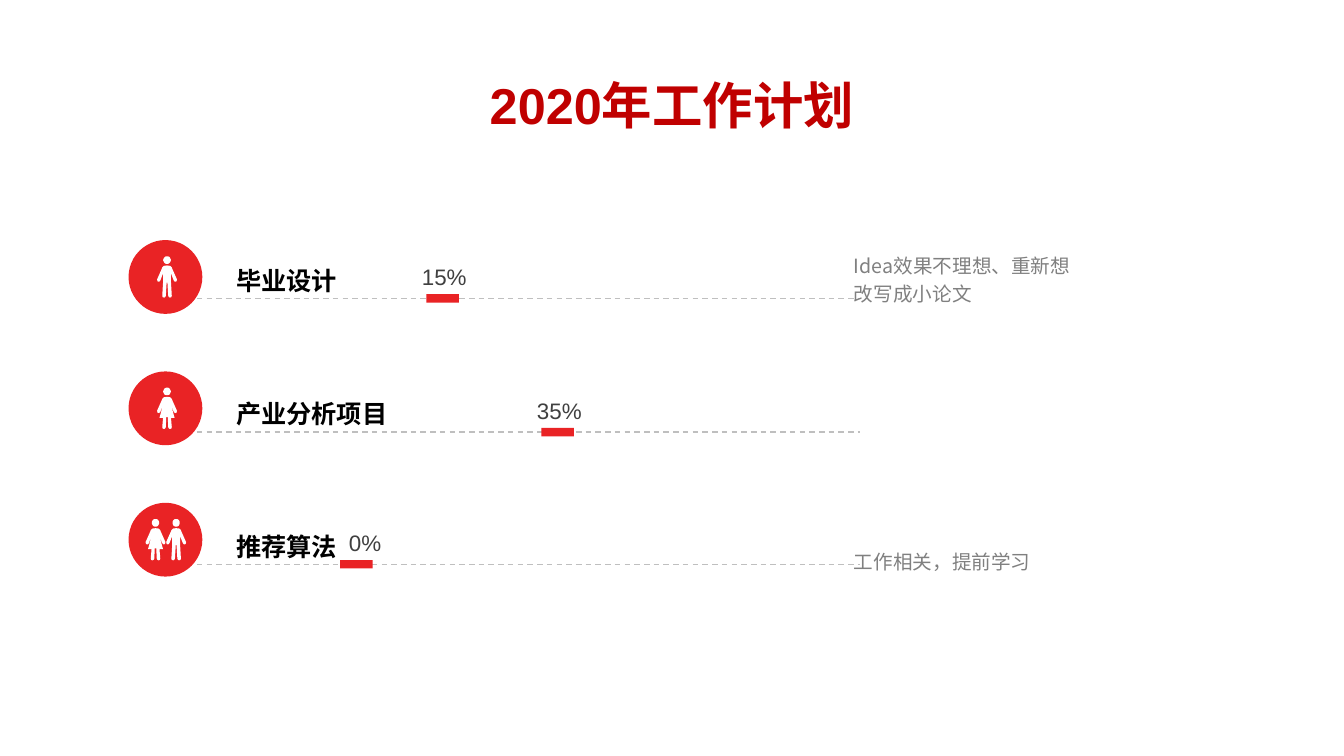
from math import cos, pi, sin

from lxml import etree
from pptx import Presentation
from pptx.dml.color import RGBColor
from pptx.enum.dml import MSO_LINE
from pptx.enum.shapes import MSO_CONNECTOR, MSO_SHAPE
from pptx.enum.text import MSO_ANCHOR, PP_ALIGN
from pptx.oxml.ns import qn
from pptx.util import Cm, Pt

OVAL, RECT = MSO_SHAPE.OVAL, MSO_SHAPE.RECTANGLE
STRAIGHT, DASH = MSO_CONNECTOR.STRAIGHT, MSO_LINE.DASH
CENTER, JUSTIFY = PP_ALIGN.CENTER, PP_ALIGN.JUSTIFY
TOP, MIDDLE = MSO_ANCHOR.TOP, MSO_ANCHOR.MIDDLE


class Theme:
    red = RGBColor(0xE9, 0x23, 0x25)
    white = RGBColor(0xFF, 0xFF, 0xFF)
    rule = RGBColor(0xBF, 0xBF, 0xBF)
    east_asian = "Noto Sans CJK SC"
    title = dict(name="Arial", size=Pt(36), bold=True, color=RGBColor(0xC0, 0, 0))
    heading = dict(name=east_asian, size=Pt(18), bold=True, color=RGBColor(0, 0, 0))
    percent = dict(name="Arial", size=Pt(16), color=RGBColor(0x40, 0x40, 0x40))
    note = dict(name=east_asian, size=Pt(14), color=RGBColor(0x80, 0x80, 0x80))


# Right half of each figure, in hundredths of a centimetre from the top of the head
SHOULDER_AND_ARM = [(0, 23), (8, 24), (12, 28), (13, 31), (25, 58), (24, 63),
                    (20, 64), (17, 61), (10, 43)]
FOOT = [(12, 99), (11, 103), (7, 104), (4, 102), (3, 99)]
MAN = SHOULDER_AND_ARM + [(10, 66)] + FOOT + [(1, 66), (0, 66)]
WOMAN = SHOULDER_AND_ARM + [(19, 76), (10, 76)] + FOOT + [(2, 74), (0, 74)]
HEAD_RADIUS = 9.5
HEAD = [(HEAD_RADIUS * sin(k * pi / 12), HEAD_RADIUS * (1 - cos(k * pi / 12)))
        for k in range(24)]

# Figures are (outline, offset from the circle centre); lengths in cm
FIRST_ROW_TOP, ROW_PITCH = 6.05, 3.31
ROWS = [
    dict(heading="毕业设计", percent=15, figures=[(MAN, 4)], rule_dy=1.47,
         note=["Idea效果不理想、重新想", "改写成小论文"], note_rise=1.37),
    dict(heading="产业分析项目", percent=35, figures=[(WOMAN, 4)], rule_dy=1.53),
    dict(heading="推荐算法", percent=0, figures=[(WOMAN, -25), (MAN, 27)], rule_dy=1.55,
         label_dx=0.18, note=["工作相关，提前学习"], note_rise=0.61),
]


def fill_plain(sp, color):
    sp.shadow.inherit = False
    sp.fill.solid()
    sp.fill.fore_color.rgb = color
    sp.line.fill.background()


def add_plain_shape(s, kind, x, y, w, h, color):
    fill_plain(s.shapes.add_shape(kind, Cm(x), Cm(y), Cm(w), Cm(h)), color)


def add_text(s, x, y, w, h, lines, style, align=JUSTIFY, anchor=TOP, spacing=None):
    tf = s.shapes.add_textbox(Cm(x), Cm(y), Cm(w), Cm(h)).text_frame
    tf.word_wrap = True
    tf.vertical_anchor = anchor
    for i, line in enumerate(lines):
        p = tf.add_paragraph() if i else tf.paragraphs[0]
        p.alignment, p.line_spacing = align, spacing
        r = p.add_run()
        r.text = line
        for key, value in style.items():
            if key == "color":
                r.font.color.rgb = value
            else:
                setattr(r.font, key, value)
        etree.SubElement(r._r.get_or_add_rPr(), qn("a:ea"), typeface=Theme.east_asian)


def add_figures(s, x, y, figures):
    """Draw all figures of one icon as a single outline around centre x."""
    contours = []
    for half, dx in figures:
        body = half + [(-px, py) for px, py in reversed(half)]
        contours += [[(px + dx, py) for px, py in part] for part in (body, HEAD)]
    fb = s.shapes.build_freeform(*contours[0][0], scale=Cm(0.01))
    for i, points in enumerate(contours):
        if i:
            fb.move_to(*points[0])
        fb.add_line_segments(points[1:], close=True)
    fill_plain(fb.convert_to_shape(Cm(x), Cm(y)), Theme.white)


def add_rule(s, x1, x2, y):
    ln = s.shapes.add_connector(STRAIGHT, Cm(x1), Cm(y), Cm(x2), Cm(y))
    ln.line.color.rgb = Theme.rule
    ln.line.width = Pt(1)
    ln.line.dash_style = DASH
    etree.SubElement(ln._element.spPr, qn("a:effectLst"))


def add_plan_row(s, x, y, heading, percent, figures, rule_dy,
                 label_dx=0, note=(), note_rise=0):
    circle, bar_w, bar_h, label_w, label_h = 1.86, 0.82, 0.21, 2.6, 1.0
    rule_y = y + rule_dy
    marker_x = x + 5.74 + 0.145 * percent
    label_x = marker_x + 0.04 + label_dx
    add_rule(s, x + 1.72, x + 18.44, rule_y)
    add_plain_shape(s, OVAL, x, y, circle, circle, Theme.red)
    add_figures(s, x + circle / 2, y + 0.41, figures)
    add_plain_shape(s, RECT, marker_x - bar_w / 2, rule_y - bar_h / 2, bar_w, bar_h,
                    Theme.red)
    add_text(s, label_x - label_w / 2, rule_y - 0.54 - label_h / 2, label_w, label_h,
             [f"{percent}%"], Theme.percent, CENTER, MIDDLE)
    add_text(s, x + 2.46, rule_y - 1.12, 5.7, 1.1, [heading], Theme.heading, spacing=1.2)
    if note:
        add_text(s, x + 18.03, rule_y - note_rise, 8.6, 0.8 * len(note), note,
                 Theme.note, spacing=1.2)


def main():
    prs = Presentation()
    prs.slide_width, prs.slide_height = Cm(33.87), Cm(19.05)
    s = prs.slides.add_slide(prs.slide_layouts[6])
    add_text(s, 12.04, 1.75, 9.78, 1.8, ["2020年工作计划"], Theme.title, CENTER)
    for i, row in enumerate(ROWS):
        add_plan_row(s, 3.24, FIRST_ROW_TOP + i * ROW_PITCH, **row)
    prs.save("out.pptx")


if __name__ == "__main__":
    main()
